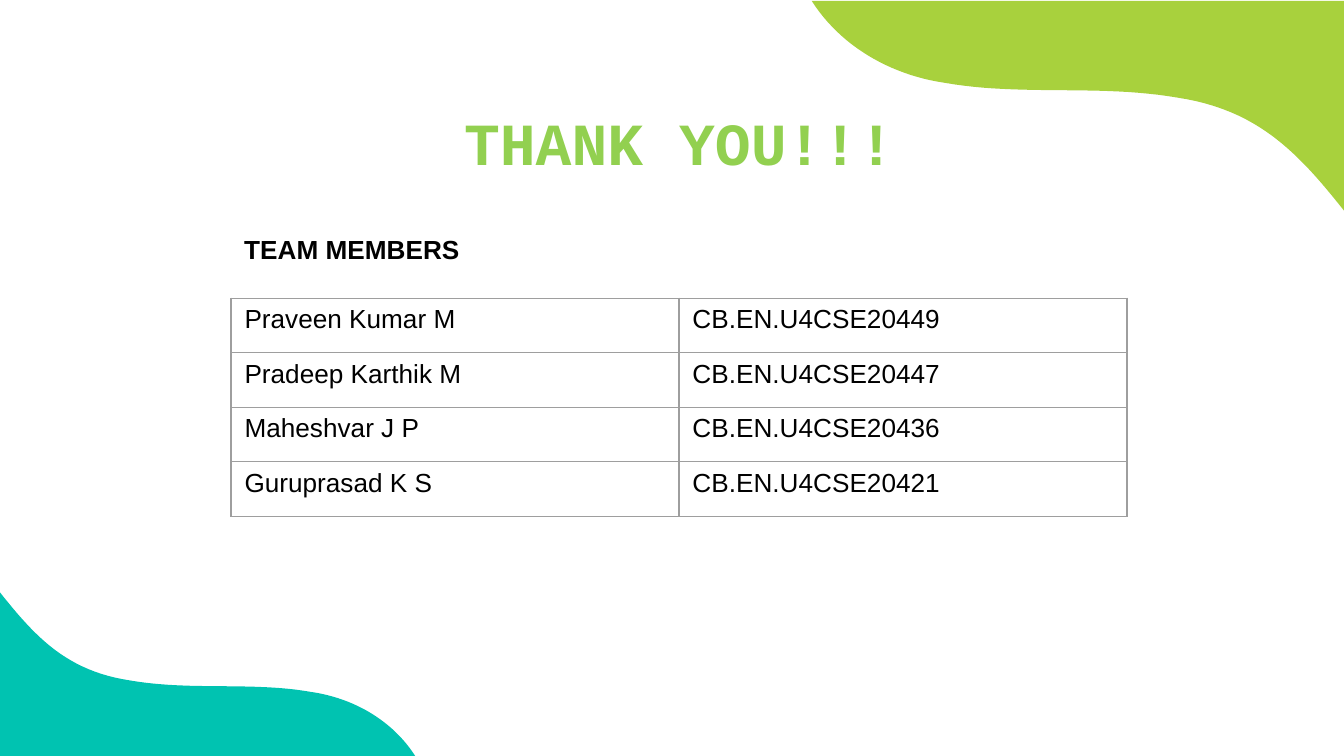
"""Build the closing slide with the team member table."""
from dataclasses import dataclass

from lxml import etree
from pptx import Presentation
from pptx import util as u
from pptx.dml.color import RGBColor
from pptx.enum import text
from pptx.oxml.ns import qn


@dataclass(frozen=True)
class Theme:
    lime: str = "A8D13D"
    teal: str = "00C3B1"
    heading: str = "92D050"
    ink: str = "000000"
    rule: str = "9E9E9E"
    rule_width: float = 0.75
    heading_font: str = "Courier New"
    body_font: str = "Arial"
    heading_size: int = 32
    body_size: int = 14


WIDTH, HEIGHT = 720, 405
WAVE = [
    ((0, 112.3), (24.5, 81.4), (46.1, 58.3), (89.3, 51.8)),
    ((89.3, 51.8), (131, 44.6), (172.8, 51.1), (213.8, 43.9)),
    ((213.8, 43.9), (243.4, 39.6), (270, 23.8), (285.1, 0)),
]
MEMBERS = [
    ("Praveen Kumar M", "CB.EN.U4CSE20449"),
    ("Pradeep Karthik M", "CB.EN.U4CSE20447"),
    ("Maheshvar J P", "CB.EN.U4CSE20436"),
    ("Guruprasad K S", "CB.EN.U4CSE20421"),
]


def curve_points(curve, steps=24):
    for step in range(steps + 1):
        t = step / steps
        weights = ((1 - t) ** 3, 3 * t * (1 - t) ** 2, 3 * t * t * (1 - t), t ** 3)
        yield tuple(sum(w * p[axis] for w, p in zip(weights, curve)) for axis in (0, 1))


def write(frame, wording, *, font, size, color, bold=False, align=text.PP_ALIGN.LEFT):
    paragraph = frame.paragraphs[0]
    paragraph.alignment = align
    run = paragraph.add_run()
    run.text = wording
    run.font.name = font
    run.font.size = u.Pt(size)
    run.font.bold = bold
    run.font.color.rgb = RGBColor.from_string(color)


class SlideBuilder:
    def __init__(self, slide, theme):
        self.slide = slide
        self.theme = theme

    def wave(self, corner, direction, scale, color):
        (x, y), (across, down) = corner, direction
        edge = [point for curve in WAVE for point in curve_points(curve)]
        outline = [(u.Pt(x + across * scale * a), u.Pt(y + down * scale * b)) for a, b in edge]
        builder = self.slide.shapes.build_freeform(u.Pt(x), u.Pt(y))
        builder.add_line_segments(outline, close=True)
        corner_wave = builder.convert_to_shape()
        corner_wave.shadow.inherit = False
        corner_wave.fill.solid()
        corner_wave.fill.fore_color.rgb = RGBColor.from_string(color)
        corner_wave.line.fill.background()

    def label(self, wording, box, anchor=text.MSO_ANCHOR.TOP, **style):
        frame = self.slide.shapes.add_textbox(*map(u.Pt, box)).text_frame
        frame.word_wrap = True
        frame.vertical_anchor = anchor
        write(frame, wording, **style)

    def table(self, rows, box):
        grid = self.slide.shapes.add_table(len(rows), len(rows[0]), *map(u.Pt, box)).table
        grid.first_row = grid.horz_banding = False
        for r, row in enumerate(rows):
            for c, wording in enumerate(row):
                cell = grid.cell(r, c)
                write(cell.text_frame, wording, font=self.theme.body_font,
                      size=self.theme.body_size, color=self.theme.ink)
                self.borders(cell)
                cell.fill.background()

    def borders(self, cell):
        properties = cell._tc.get_or_add_tcPr()
        for side in ("a:lnL", "a:lnR", "a:lnT", "a:lnB"):
            line = etree.SubElement(properties, qn(side), w=str(u.Pt(self.theme.rule_width)))
            fill = etree.SubElement(line, qn("a:solidFill"))
            etree.SubElement(fill, qn("a:srgbClr"), val=self.theme.rule)


def main():
    deck = Presentation()
    deck.slide_width, deck.slide_height = u.Pt(WIDTH), u.Pt(HEIGHT)
    theme = Theme()
    closing = SlideBuilder(deck.slides.add_slide(deck.slide_layouts[6]), theme)
    closing.wave((WIDTH, 0.5), (-1, 1), 1, theme.lime)
    closing.wave((0, HEIGHT), (1, -1), 0.78, theme.teal)
    closing.label("THANK YOU!!!", (50.4, 52.6, 627.1, 46.8), text.MSO_ANCHOR.MIDDLE,
                  font=theme.heading_font, size=theme.heading_size, color=theme.heading,
                  bold=True, align=text.PP_ALIGN.CENTER)
    closing.table(MEMBERS, (123.8, 159.8, 480, 116.8))
    closing.label("TEAM MEMBERS", (123.8, 121.7, 257, 24.5), font=theme.body_font,
                  size=theme.body_size, color=theme.ink, bold=True)
    deck.save("out.pptx")


if __name__ == "__main__":
    main()
